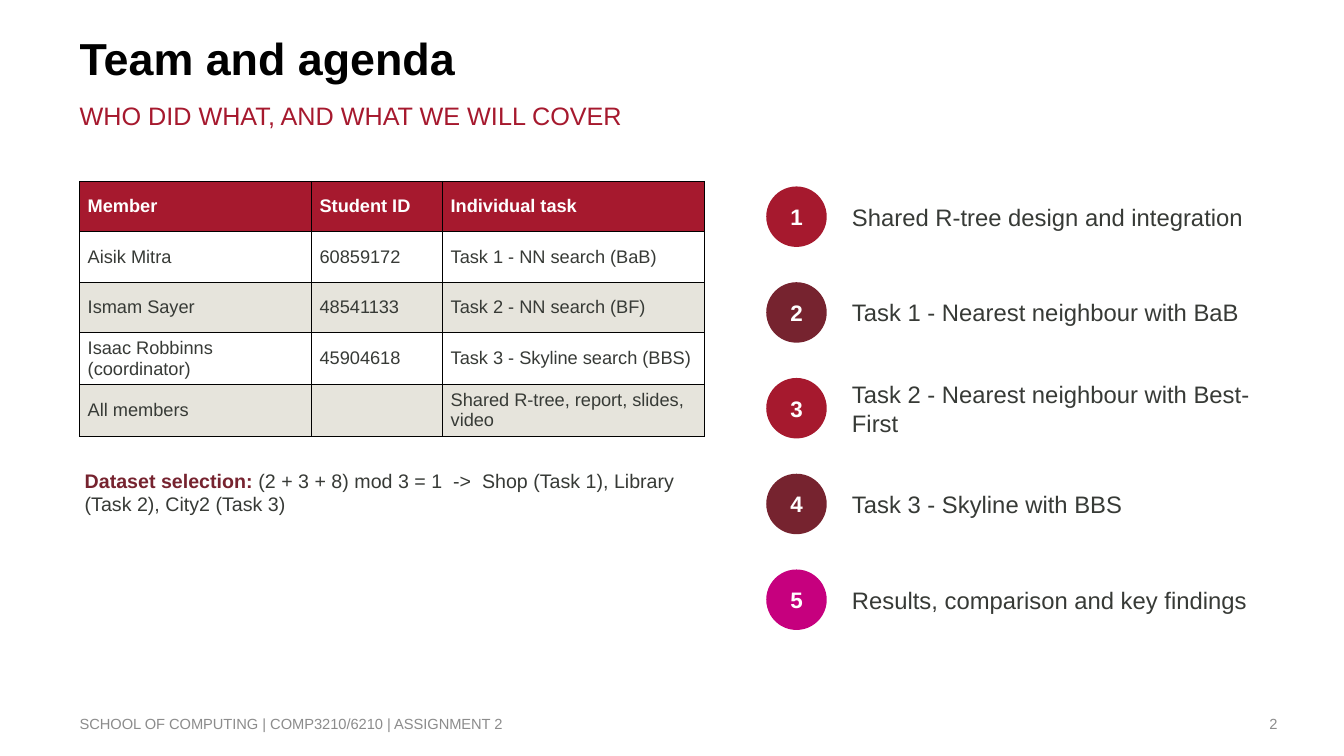
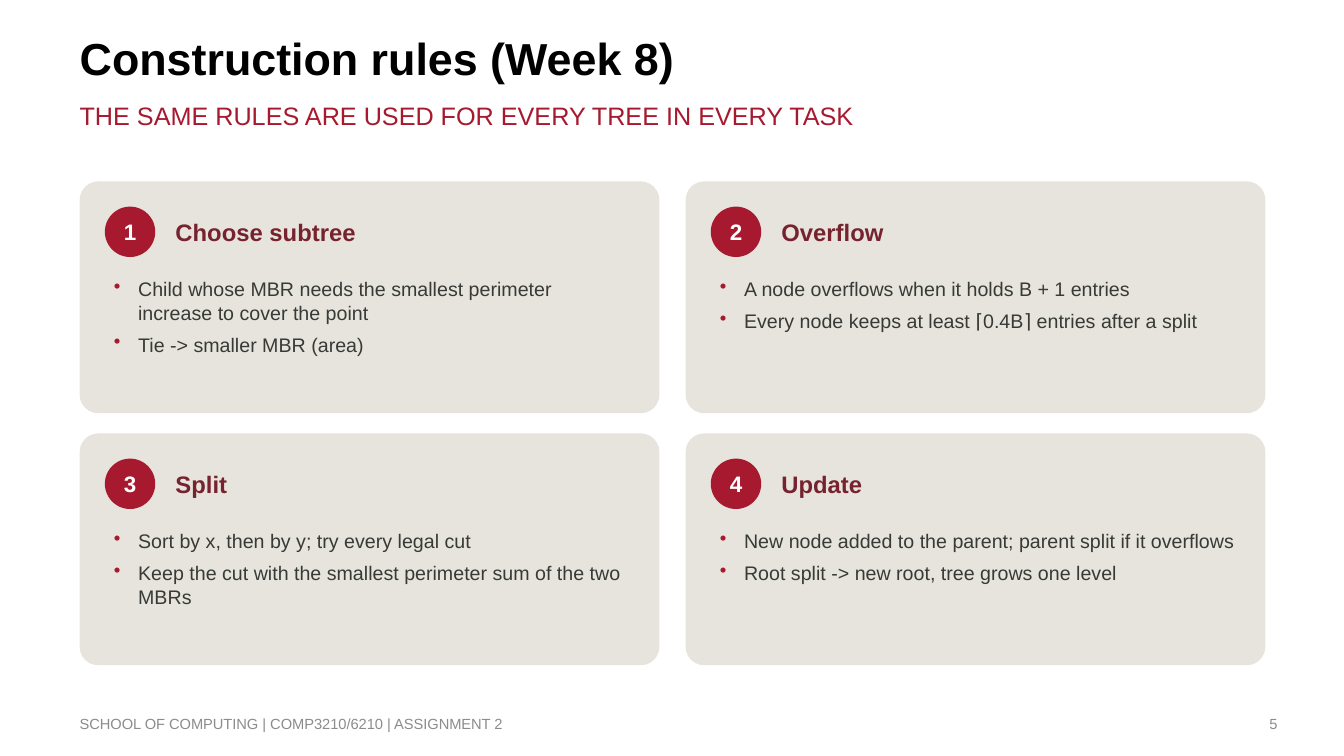
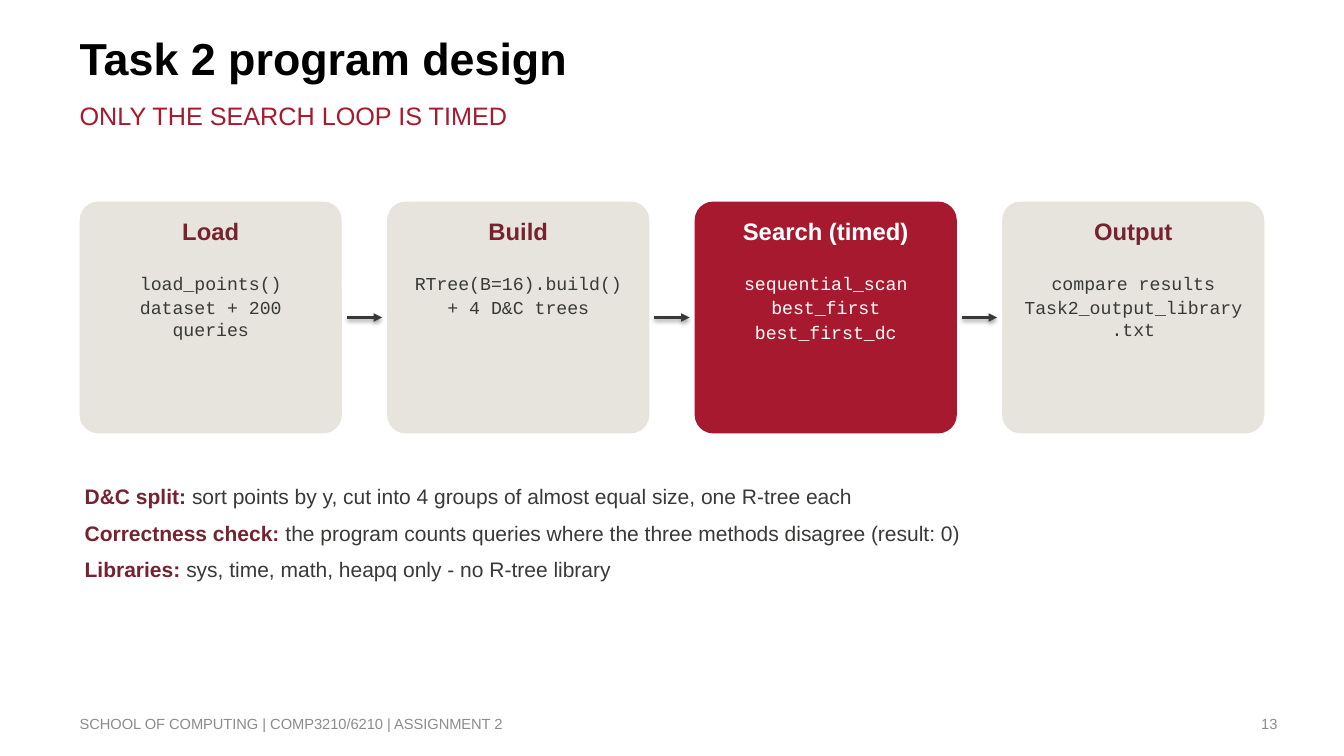
"""Build three assignment slides: team and agenda, construction rules, program design."""
from lxml import etree
from pptx import Presentation
from pptx.dml.color import RGBColor
from pptx.enum.shapes import MSO_CONNECTOR, MSO_SHAPE
from pptx.enum.text import MSO_ANCHOR, PP_ALIGN
from pptx.oxml.ns import qn
from pptx.util import Inches, Pt

RED = RGBColor(0xA6, 0x19, 0x2E)
MAROON = RGBColor(0x76, 0x23, 0x2F)
MAGENTA = RGBColor(0xC6, 0x00, 0x7E)
SAND = RGBColor(0xE6, 0xE4, 0xDC)
CHARCOAL = RGBColor(0x37, 0x3A, 0x36)
GREY = RGBColor(0x8C, 0x8C, 0x8C)
BLACK = RGBColor(0, 0, 0)
WHITE = RGBColor(255, 255, 255)

LEFT, CENTER, RIGHT = PP_ALIGN.LEFT, PP_ALIGN.CENTER, PP_ALIGN.RIGHT
TOP, MIDDLE = MSO_ANCHOR.TOP, MSO_ANCHOR.MIDDLE
OVAL, ROUNDED = MSO_SHAPE.OVAL, MSO_SHAPE.ROUNDED_RECTANGLE
STRAIGHT = MSO_CONNECTOR.STRAIGHT
SANS, MONO = "Arial", "Courier New"
MARGIN = 0.79
FOOTER = "SCHOOL OF COMPUTING | COMP3210/6210 | ASSIGNMENT 2"

TEAM_COLUMNS = [2.3, 1.3, 2.6]
TEAM_ROWS = [
    ("Member", "Student ID", "Individual task"),
    ("Aisik Mitra", "60859172", "Task 1 - NN search (BaB)"),
    ("Ismam Sayer", "48541133", "Task 2 - NN search (BF)"),
    ("Isaac Robbinns (coordinator)", "45904618", "Task 3 - Skyline search (BBS)"),
    ("All members", "", "Shared R-tree, report, slides, video"),
]
DATASET_NOTE = [
    ("Dataset selection: ",
     "(2 + 3 + 8) mod 3 = 1  ->  Shop (Task 1), Library (Task 2), City2 (Task 3)"),
]
AGENDA = [
    ("Shared R-tree design and integration", RED),
    ("Task 1 - Nearest neighbour with BaB", MAROON),
    ("Task 2 - Nearest neighbour with Best-First", RED),
    ("Task 3 - Skyline with BBS", MAROON),
    ("Results, comparison and key findings", MAGENTA),
]
RULES = [
    ("Choose subtree", [
        "Child whose MBR needs the smallest perimeter increase to cover the point",
        "Tie -> smaller MBR (area)"]),
    ("Overflow", [
        "A node overflows when it holds B + 1 entries",
        "Every node keeps at least ⌈0.4B⌉ entries after a split"]),
    ("Split", [
        "Sort by x, then by y; try every legal cut",
        "Keep the cut with the smallest perimeter sum of the two MBRs"]),
    ("Update", [
        "New node added to the parent; parent split if it overflows",
        "Root split -> new root, tree grows one level"]),
]
STEPS = [
    ("Load", ["load_points()", "dataset + 200 queries"], False),
    ("Build", ["RTree(B=16).build()", "+ 4 D&C trees"], False),
    ("Search (timed)", ["sequential_scan", "best_first", "best_first_dc"], True),
    ("Output", ["compare results", "Task2_output_library.txt"], False),
]
DESIGN_NOTES = [
    ("D&C split: ", "sort points by y, cut into 4 groups of almost equal size, one R-tree each"),
    ("Correctness check: ",
     "the program counts queries where the three methods disagree (result: 0)"),
    ("Libraries: ", "sys, time, math, heapq only - no R-tree library"),
]


def inches(*lengths):
    return [Inches(round(length, 2)) for length in lengths]


def style(font, size, color, bold=False, name=SANS):
    font.size, font.bold, font.name = Pt(size), bold, name
    font.color.rgb = color


def prepare_frame(frame, anchor=TOP, inset=0.05):
    frame.word_wrap = True
    frame.vertical_anchor = anchor
    frame.margin_left = frame.margin_right = Inches(inset)
    frame.margin_top = frame.margin_bottom = Inches(inset)


def add_bullet(paragraph):
    properties = paragraph._p.get_or_add_pPr()
    properties.set("marL", str(Inches(0.28)))
    properties.set("indent", str(Inches(-0.24)))
    color = etree.SubElement(properties, qn("a:buClr"))
    etree.SubElement(color, qn("a:srgbClr"), val=str(RED))
    etree.SubElement(properties, qn("a:buChar"), char="•")


def add_text(slide, box, lines, size, color, bold=False, name=SANS, align=LEFT,
             anchor=TOP, inset=0.05, after=0, bullets=False):
    frame = slide.shapes.add_textbox(*inches(*box)).text_frame
    prepare_frame(frame, anchor, inset)
    frame.text = "\n".join(lines)
    for paragraph in frame.paragraphs:
        if bullets:
            add_bullet(paragraph)
        paragraph.alignment = align
        paragraph.space_after = Pt(after)
        for run in paragraph.runs:
            style(run.font, size, color, bold, name)


def add_notes(slide, box, notes, size, after):
    frame = slide.shapes.add_textbox(*inches(*box)).text_frame
    prepare_frame(frame)
    for index, (label, detail) in enumerate(notes):
        paragraph = frame.add_paragraph() if index else frame.paragraphs[0]
        paragraph.space_after = Pt(after)
        for text, color, bold in ((label, MAROON, True), (detail, CHARCOAL, False)):
            run = paragraph.add_run()
            run.text = text
            style(run.font, size, color, bold)


def add_filled(slide, preset, box, color):
    shape = slide.shapes.add_shape(preset, *inches(*box))
    shape.shadow.inherit = False
    shape.fill.solid()
    shape.fill.fore_color.rgb = color
    shape.line.fill.background()
    return shape


def add_card(slide, box, color=SAND):
    add_filled(slide, ROUNDED, box, color).adjustments[0] = 0.08


def add_badge(slide, left, top, size, number, color=RED):
    frame = add_filled(slide, OVAL, (left, top, size, size), color).text_frame
    prepare_frame(frame, MIDDLE, 0)
    frame.text = str(number)
    frame.paragraphs[0].alignment = CENTER
    style(frame.paragraphs[0].runs[0].font, 16, WHITE, True)


def add_arrow(slide, start, end, y):
    arrow = slide.shapes.add_connector(STRAIGHT, *inches(start, y, end, y))
    arrow.line.color.rgb = CHARCOAL
    arrow.line.width = Pt(2)
    etree.SubElement(arrow.line._get_or_add_ln(), qn("a:tailEnd"), type="triangle")


def add_borders(cell):
    properties = cell._tc.get_or_add_tcPr()
    for index, side in enumerate(("a:lnL", "a:lnR", "a:lnT", "a:lnB")):
        border = etree.Element(qn(side), w=str(Pt(1)))
        fill = etree.SubElement(border, qn("a:solidFill"))
        etree.SubElement(fill, qn("a:srgbClr"), val=str(BLACK))
        properties.insert(index, border)


def add_team_table(slide, left, top, row_height):
    box = inches(left, top, sum(TEAM_COLUMNS), row_height * len(TEAM_ROWS))
    table = slide.shapes.add_table(len(TEAM_ROWS), len(TEAM_COLUMNS), *box).table
    for column, width in zip(table.columns, TEAM_COLUMNS):
        column.width = Inches(width)
    for row_index, texts in enumerate(TEAM_ROWS):
        header = row_index == 0
        fill = RED if header else (SAND, WHITE)[row_index % 2]
        for column_index, text in enumerate(texts):
            cell = table.cell(row_index, column_index)
            cell.text = text
            cell.vertical_anchor = MIDDLE
            cell.margin_left = cell.margin_right = Inches(0.08)
            cell.margin_top = cell.margin_bottom = Inches(0.04)
            cell.fill.solid()
            cell.fill.fore_color.rgb = fill
            add_borders(cell)
            style(cell.text_frame.paragraphs[0].font, 13, WHITE if header else CHARCOAL, header)


def add_slide(presentation, title, subtitle, number):
    slide = presentation.slides.add_slide(presentation.slide_layouts[5])
    shape = slide.shapes.title
    shape.left, shape.top, shape.width, shape.height = inches(MARGIN, 0.3, 9.25, 0.71)
    prepare_frame(shape.text_frame, TOP, 0)
    shape.text_frame.text = title
    paragraph = shape.text_frame.paragraphs[0]
    paragraph.alignment = LEFT
    style(paragraph.runs[0].font, 32, BLACK, True)
    add_text(slide, (MARGIN, 0.99, 9.34, 0.49), [subtitle], 18, RED, inset=0)
    add_text(slide, (MARGIN, 6.98, 5.88, 0.4), [FOOTER], 10.5, GREY, anchor=MIDDLE, inset=0)
    add_text(slide, (9.56, 6.98, 3.11, 0.4), [str(number)], 10.5, GREY,
             align=RIGHT, anchor=MIDDLE, inset=0)
    return slide


def build_team(presentation):
    slide = add_slide(presentation, "Team and agenda", "WHO DID WHAT, AND WHAT WE WILL COVER", 2)
    add_team_table(slide, MARGIN, 1.8, 0.5)
    add_notes(slide, (MARGIN, 4.6, 6.2, 1.2), DATASET_NOTE, 14, 6)
    for index, (topic, color) in enumerate(AGENDA):
        top = 1.85 + index * 0.95
        add_badge(slide, 7.6, top, 0.6, index + 1, color)
        add_text(slide, (8.4, top, 4.3, 0.6), [topic], 17, CHARCOAL, anchor=MIDDLE, after=6)


def build_rules(presentation):
    slide = add_slide(presentation, "Construction rules (Week 8)",
                      "THE SAME RULES ARE USED FOR EVERY TREE IN EVERY TASK", 5)
    width, height, pad = 5.75, 2.3, 0.25
    for index, (heading, points) in enumerate(RULES):
        row, column = divmod(index, 2)
        left = MARGIN + column * (width + 0.26)
        top = 1.8 + row * (height + 0.2)
        add_card(slide, (left, top, width, height))
        add_badge(slide, left + pad, top + pad, 0.5, index + 1)
        add_text(slide, (left + 0.9, top + pad, 4.65, 0.5), [heading], 17, MAROON, True,
                 anchor=MIDDLE, after=6)
        add_text(slide, (left + pad, top + 0.9, width - 2 * pad, 1.25), points, 14, CHARCOAL,
                 after=6, bullets=True)


def build_design(presentation):
    slide = add_slide(presentation, "Task 2 program design", "ONLY THE SEARCH LOOP IS TIMED", 13)
    top, width, height, gap, pad = 2, 2.6, 2.3, 0.45, 0.15
    for index, (heading, calls, timed) in enumerate(STEPS):
        left = MARGIN + index * (width + gap)
        if index:
            add_arrow(slide, left - gap + 0.05, left - 0.05, top + height / 2)
        add_card(slide, (left, top, width, height), RED if timed else SAND)
        inner = width - 2 * pad
        add_text(slide, (left + pad, top + 0.1, inner, 0.5), [heading], 17,
                 WHITE if timed else MAROON, True, align=CENTER, after=6)
        add_text(slide, (left + pad, top + 0.65, inner, 1.5), calls, 13,
                 WHITE if timed else CHARCOAL, name=MONO, align=CENTER, after=2)
    add_notes(slide, (MARGIN, 4.75, 11.76, 1.8), DESIGN_NOTES, 15, 8)


def main():
    presentation = Presentation()
    presentation.slide_width, presentation.slide_height = inches(13.33, 7.5)
    build_team(presentation)
    build_rules(presentation)
    build_design(presentation)
    presentation.save("out.pptx")


if __name__ == "__main__":
    main()
